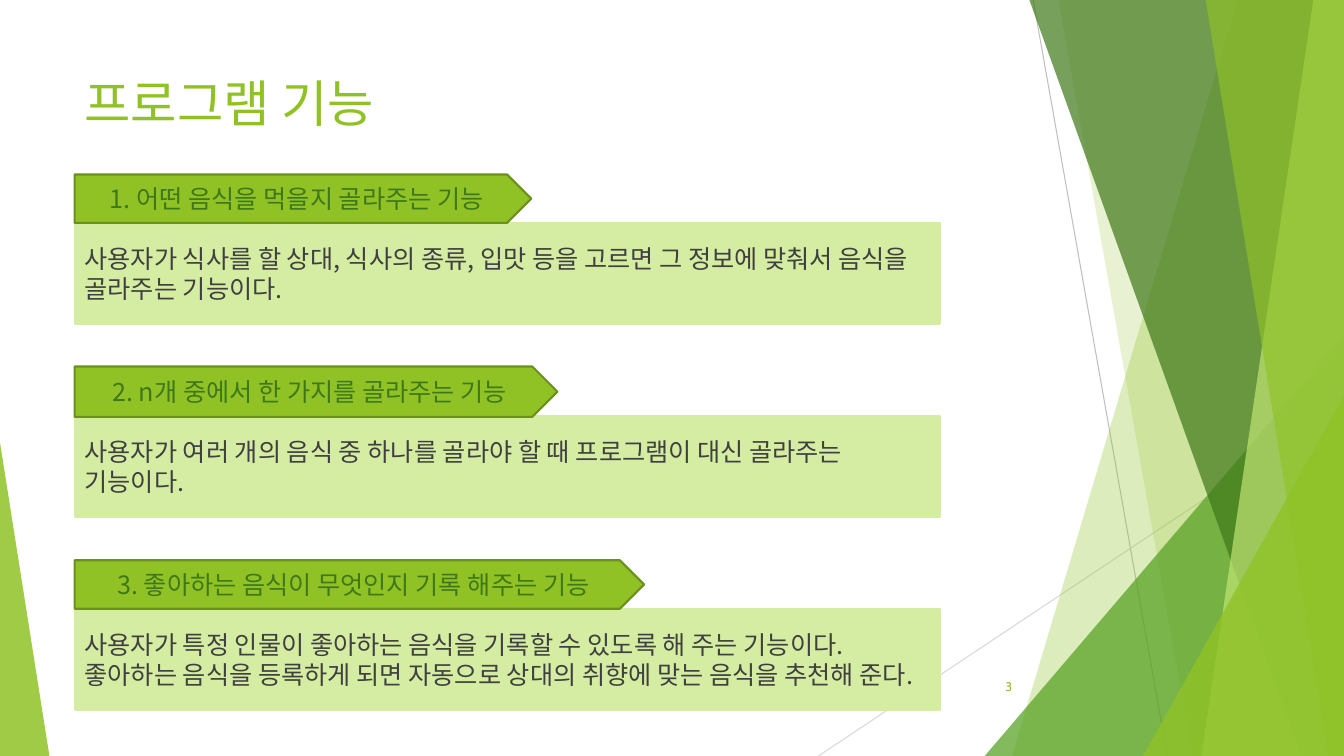
import pptx
import pptx.dml.color
import pptx.enum.shapes
import pptx.enum.text
import pptx.util
from lxml import etree
from pptx.oxml.ns import qn

Pt = pptx.util.Pt
RGB = pptx.dml.color.RGBColor
MSO_SHAPE = pptx.enum.shapes.MSO_SHAPE
ALIGN = pptx.enum.text.PP_ALIGN
ANCHOR = pptx.enum.text.MSO_ANCHOR

TITLE = "프로그램 기능"
PAGE_NUMBER = "3"
# heading, heading width, heading top, heading height, description
FEATURES = [
    ("1. 어떤 음식을 먹을지 골라주는 기능", 326.2, 124.6, 34.6,
     "사용자가 식사를 할 상대, 식사의 종류, 입맛 등을 고르면 그 정보에 맞춰서 음식을 골라주는 기능이다."),
    ("2. n개 중에서 한 가지를 골라주는 기능", 344.9, 261.8, 36,
     "사용자가 여러 개의 음식 중 하나를 골라야 할 때 프로그램이 대신 골라주는 기능이다."),
    ("3. 좋아하는 음식이 무엇인지 기록 해주는 기능", 406.8, 400.2, 34.6,
     "사용자가 특정 인물이 좋아하는 음식을 기록할 수 있도록 해 주는 기능이다. "
     "좋아하는 음식을 등록하게 되면 자동으로 상대의 취향에 맞는 음식을 추천해 준다."),
]

WIDTH, HEIGHT = 960, 540
LEFT = 53.3
DESCRIPTION_TOP, DESCRIPTION_PITCH = 159.1, 137.9
DESCRIPTION_WIDTH, DESCRIPTION_HEIGHT = 618.5, 72
BAND_TOP = -0.6

LIME = RGB(0x90, 0xC2, 0x26)
LIME_EDGE = RGB(0x6B, 0x90, 0x1C)
PALE_LIME = RGB(0xD5, 0xED, 0xA2)
LIGHT_LIME = RGB(0xC0, 0xE4, 0x74)
GREEN = RGB(0x54, 0xA0, 0x21)
DARK_GREEN = RGB(0x3F, 0x78, 0x19)
DARK_GRAY = RGB(0x40, 0x40, 0x40)
GRAY = RGB(0xBF, 0xBF, 0xBF)
LIGHT_GRAY = RGB(0xD9, 0xD9, 0xD9)

LATIN_FONT = "Cabin"
KOREAN_FONT = "Noto Sans CJK KR"

# start, end, colour
RAYS = [
    ((738, 0), (833.8, HEIGHT), GRAY),
    ((WIDTH, 290.2), (584.6, HEIGHT), LIGHT_GRAY),
]


def right_band(top_x, bottom_x):
    """Corners of a band that runs from its slanted left side to the slide edge."""
    return [(top_x, BAND_TOP), (WIDTH, BAND_TOP), (WIDTH, HEIGHT), (bottom_x, HEIGHT)]


def corner_wedge(edge_x, top, base_x):
    """Corners of a right triangle standing on the bottom edge."""
    return [(edge_x, top), (edge_x, HEIGHT), (base_x, HEIGHT)]


# corners, colour, opacity in percent
FACETS = [
    (right_band(884.2, 722.9), LIME, 30),
    (right_band(756, 851.8), LIME, 20),
    (corner_wedge(WIDTH, 239.8, 703.4), GREEN, 72),
    (right_band(735.1, 929.5), DARK_GREEN, 70),
    (right_band(938.2, 858.2), LIGHT_LIME, 70),
    (right_band(861.1, 949), LIME, 65),
    (corner_wedge(WIDTH, 283, 816.5), LIME, 80),
    (corner_wedge(0, 316.1, 35.3), LIME, 85),
]

deck = pptx.Presentation()
deck.slide_width, deck.slide_height = Pt(WIDTH), Pt(HEIGHT)
slide = deck.slides.add_slide(deck.slide_layouts[6])
shapes = slide.shapes


def write(holder, text, *, size, color, font=KOREAN_FONT,
          align=ALIGN.LEFT, anchor=ANCHOR.MIDDLE):
    frame = holder.text_frame
    frame.word_wrap = True
    frame.vertical_anchor = anchor
    paragraph = frame.paragraphs[0]
    paragraph.alignment = align
    run = paragraph.add_run()
    run.text = text
    run.font.size = Pt(size)
    run.font.name = font
    run.font.color.rgb = color
    east_asian = etree.SubElement(run.font._element, qn("a:ea"))
    east_asian.set("typeface", KOREAN_FONT)


def add_box(kind, left, top, width, height, fill, edge):
    box = shapes.add_shape(kind, Pt(left), Pt(top), Pt(width), Pt(height))
    box.shadow.inherit = False
    box.fill.solid()
    box.fill.fore_color.rgb = fill
    box.line.color.rgb = edge
    box.line.width = Pt(1.5)
    return box


def add_ray(start, end, color):
    ray = shapes.add_connector(pptx.enum.shapes.MSO_CONNECTOR.STRAIGHT,
                               *map(Pt, start + end))
    ray.line.color.rgb = color
    ray.line.width = Pt(0.75)
    etree.SubElement(ray._element.spPr, qn("a:effectLst"))


def add_facet(corners, color, opacity):
    points = [(Pt(x), Pt(y)) for x, y in corners]
    outline = shapes.build_freeform(*points[0])
    outline.add_line_segments(points[1:], close=True)
    facet = outline.convert_to_shape()
    facet.shadow.inherit = False
    facet.line.fill.background()
    facet.fill.solid()
    facet.fill.fore_color.rgb = color
    tint = facet._element.spPr.find(qn("a:solidFill"))[0]
    etree.SubElement(tint, qn("a:alpha")).set("val", str(opacity * 1000))


for ray_parts in RAYS:
    add_ray(*ray_parts)
for facet_parts in FACETS:
    add_facet(*facet_parts)

title = shapes.add_textbox(Pt(LEFT), Pt(48.2), Pt(676.8), Pt(103.7))
write(title, TITLE, size=36, color=LIME, font=LATIN_FONT, anchor=ANCHOR.TOP)
page_number = shapes.add_textbox(Pt(676.1), Pt(475.9), Pt(54), Pt(28.8))
write(page_number, PAGE_NUMBER, size=9, color=LIME, font=LATIN_FONT, align=ALIGN.RIGHT)

for index, (heading, width, top, height, description) in enumerate(FEATURES):
    panel = add_box(MSO_SHAPE.RECTANGLE, LEFT, DESCRIPTION_TOP + index * DESCRIPTION_PITCH,
                    DESCRIPTION_WIDTH, DESCRIPTION_HEIGHT, PALE_LIME, PALE_LIME)
    write(panel, description, size=18, color=DARK_GRAY)
    banner = add_box(MSO_SHAPE.PENTAGON, LEFT, top, width, height, LIME, LIME_EDGE)
    write(banner, heading, size=18, color=DARK_GREEN, align=ALIGN.CENTER)

deck.save("out.pptx")
